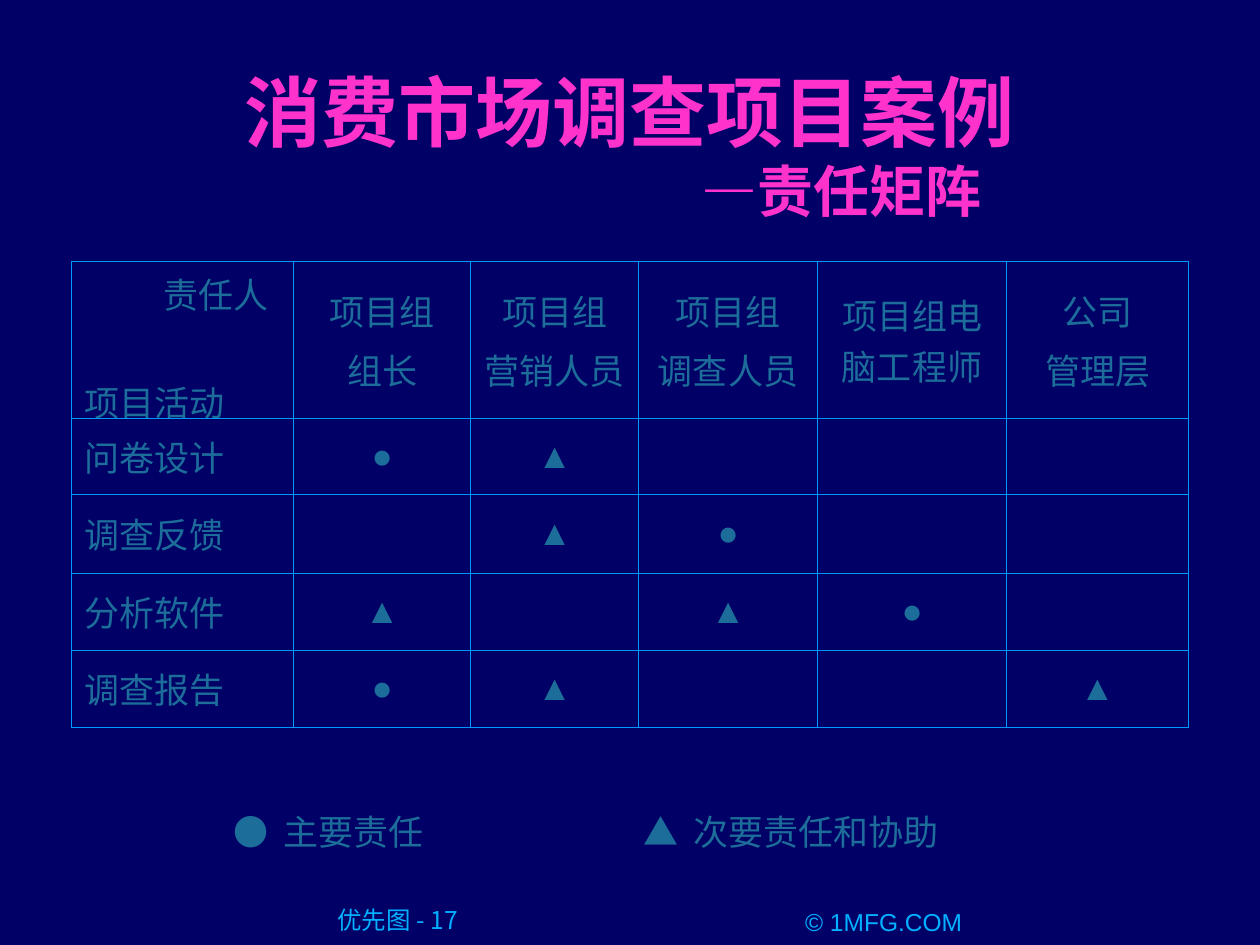
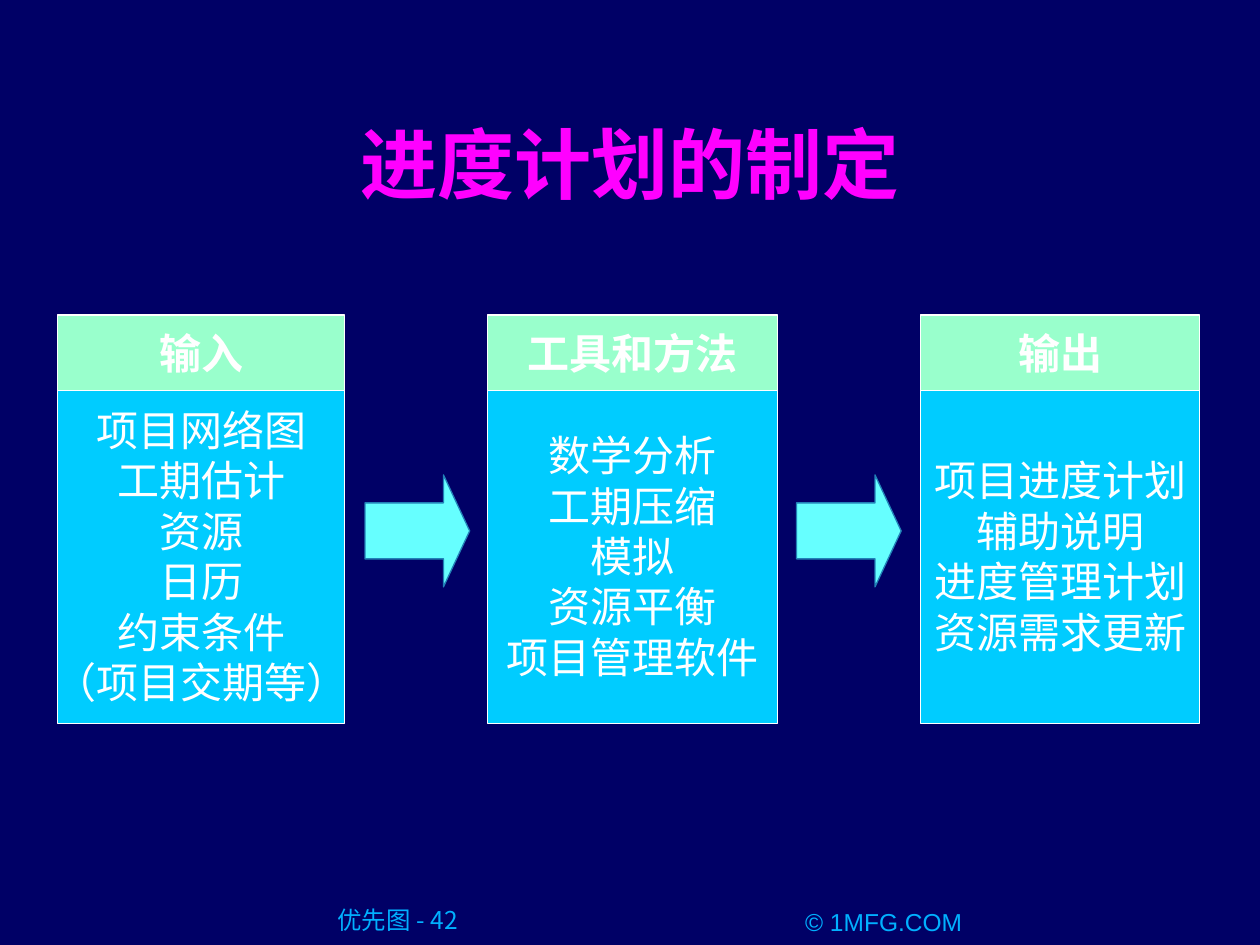
from lxml.etree import SubElement
from pptx import Presentation
from pptx.dml.color import RGBColor
from pptx.enum.shapes import MSO_SHAPE
from pptx.enum.text import MSO_ANCHOR, MSO_AUTO_SIZE, PP_ALIGN
from pptx.oxml.ns import qn
from pptx.util import Pt

NAVY = RGBColor(0x00, 0x00, 0x66)
PINK = RGBColor(0xFF, 0x33, 0xCC)
MAGENTA = RGBColor(0xFF, 0x00, 0xFF)
FOOTER_BLUE = RGBColor(0x01, 0xB0, 0xFF)
TEAL = RGBColor(0x1C, 0x6D, 0x9A)
GRID_BLUE = RGBColor(0x00, 0x99, 0xFF)
SKY = RGBColor(0x00, 0xCC, 0xFF)
MINT = RGBColor(0x99, 0xFF, 0xCC)
AQUA = RGBColor(0x66, 0xFF, 0xFF)
ARROW_LINE = RGBColor(0x21, 0x81, 0xB7)
WHITE = RGBColor(0xFF, 0xFF, 0xFF)

SERIF = "Times New Roman"
SANS = "Arial"
CJK = "Noto Sans CJK JP"

PRIMARY = "●"
SECONDARY = "▲"
PEOPLE = [
    ["项目组", "组长"],
    ["项目组", "营销人员"],
    ["项目组", "调查人员"],
    ["项目组电脑工程师"],
    ["公司", "管理层"],
]
DUTIES = {
    "问卷设计": [PRIMARY, SECONDARY, "", "", ""],
    "调查反馈": ["", SECONDARY, PRIMARY, "", ""],
    "分析软件": [SECONDARY, "", SECONDARY, PRIMARY, ""],
    "调查报告": [PRIMARY, SECONDARY, "", "", SECONDARY],
}
COLUMN_WIDTHS = [126.86, 101.14, 96, 102.29, 108, 104]
ROW_HEIGHTS = [89.5, 43.5, 45, 44, 44]

PANELS = [
    (33, 164, "输入", ["项目网络图", "工期估计", "资源", "日历", "约束条件", "（项目交期等）"]),
    (278.6, 165.6, "工具和方法", ["数学分析", "工期压缩", "模拟", "资源平衡", "项目管理软件"]),
    (526, 159.5, "输出", ["项目进度计划", "辅助说明", "进度管理计划", "资源需求更新"]),
]
ARROW_LEFTS = [208.6, 455.2]


class Deck:
    def __init__(self):
        self.presentation = Presentation()
        self.presentation.slide_width = Pt(720)
        self.presentation.slide_height = Pt(540)
        fill = self.presentation.slide_master.background.fill
        fill.solid()
        fill.fore_color.rgb = NAVY
        self.slide = None

    def new_slide(self, number):
        layout = self.presentation.slide_layouts[5]
        self.slide = self.presentation.slides.add_slide(layout)
        page = self.text_box((145, 517, 150, 19), [f"优先图 - {number}"],
                             {"name": CJK, "size": Pt(14)}, FOOTER_BLUE)
        mark = self.text_box((424, 518.4, 162, 16.6), ["© 1MFG.COM"],
                             {"name": SANS, "size": Pt(14)}, FOOTER_BLUE)
        for box, left in ((page, 14.4), (mark, 0)):
            self.set_insets(box.text_frame, left)

    def set_insets(self, frame, left):
        values = {"margin_left": Pt(left), "margin_right": 0,
                  "margin_top": 0, "margin_bottom": 0}
        for name, value in values.items():
            setattr(frame, name, value)

    def set_text(self, frame, lines, font, color, align=PP_ALIGN.CENTER, gap=0, tab=None):
        for index, line in enumerate(lines):
            paragraph = frame.paragraphs[0] if index == 0 else frame.add_paragraph()
            paragraph.text = line
            paragraph.alignment = align
            paragraph.space_before = Pt(gap if index else 0)
            if tab:
                tabs = SubElement(paragraph._p.get_or_add_pPr(), qn("a:tabLst"))
                SubElement(tabs, qn("a:tab"), pos=str(Pt(tab)), algn="l")
            for name, value in font.items():
                setattr(paragraph.font, name, value)
            paragraph.font.color.rgb = color

    def indent(self, paragraph, distance):
        paragraph.alignment = PP_ALIGN.LEFT
        paragraph._p.get_or_add_pPr().set("marL", str(Pt(distance)))

    def title(self, box, lines, color, anchor):
        title = self.slide.shapes.title
        title.left, title.top, title.width, title.height = map(Pt, box)
        frame = title.text_frame
        frame.auto_size = MSO_AUTO_SIZE.NONE
        frame.vertical_anchor = anchor
        self.set_text(frame, lines, {"name": SERIF, "size": Pt(44), "bold": True}, color)
        return frame

    def text_box(self, box, lines, font, color, align=PP_ALIGN.CENTER, tab=None):
        shape = self.slide.shapes.add_textbox(*map(Pt, box))
        shape.text_frame.word_wrap = True
        self.set_text(shape.text_frame, lines, font, color, align, tab=tab)
        return shape

    def legend(self, left, width, symbol, label):
        self.text_box((left, 459.4, width, 31.7), [f"{symbol}\t{label}"],
                      {"name": SERIF, "size": Pt(20)}, TEAL, PP_ALIGN.LEFT, 28.6)

    def shape(self, kind, box, fill, line, shapes=None):
        shapes = shapes or self.slide.shapes
        shape = shapes.add_shape(kind, *map(Pt, box))
        shape.shadow.inherit = False
        shape.fill.solid()
        shape.fill.fore_color.rgb = fill
        shape.line.color.rgb = line
        shape.line.width = Pt(0.75)
        return shape

    def panel(self, left, width, heading, items):
        group = self.slide.shapes.add_group_shape()
        parts = [(221.8, 191.5, SKY, items, False), (180, 43.2, MINT, [heading], True)]
        for top, height, fill, lines, bold in parts:
            shape = self.shape(MSO_SHAPE.RECTANGLE, (left, top, width, height),
                               fill, WHITE, group.shapes)
            frame = shape.text_frame
            frame.word_wrap = False
            frame.vertical_anchor = MSO_ANCHOR.MIDDLE
            self.set_text(frame, lines, {"name": SERIF, "size": Pt(24), "bold": bold}, WHITE)

    def arrow(self, left):
        arrow = self.shape(MSO_SHAPE.RIGHT_ARROW, (left, 271.4, 59.8, 64), AQUA, ARROW_LINE)
        arrow.adjustments[0] = 0.5
        arrow.adjustments[1] = 0.25

    def borders(self, cell):
        properties = cell._tc.get_or_add_tcPr()
        for index, side in enumerate(("lnL", "lnR", "lnT", "lnB")):
            line = properties.makeelement(qn(f"a:{side}"), {"w": str(Pt(0.45))})
            fill = SubElement(line, qn("a:solidFill"))
            SubElement(fill, qn("a:srgbClr"), val=str(GRID_BLUE))
            properties.insert(index, line)

    def table(self, left, top, rows):
        frame = self.slide.shapes.add_table(
            len(ROW_HEIGHTS), len(COLUMN_WIDTHS), Pt(left), Pt(top),
            Pt(sum(COLUMN_WIDTHS)), Pt(sum(ROW_HEIGHTS)))
        table = frame.table
        table.first_row = table.horz_banding = False
        for column, width in zip(table.columns, COLUMN_WIDTHS):
            column.width = Pt(width)
        for row, height, contents in zip(table.rows, ROW_HEIGHTS, rows):
            row.height = Pt(height)
            for index, (cell, lines) in enumerate(zip(row.cells, contents)):
                cell.fill.background()
                cell.vertical_anchor = MSO_ANCHOR.MIDDLE
                self.borders(cell)
                align = PP_ALIGN.CENTER if index else PP_ALIGN.LEFT
                self.set_text(cell.text_frame, lines, {"name": SANS, "size": Pt(20)},
                              TEAL, align, 5)
        return table


def responsibility_matrix(deck):
    deck.new_slide(17)
    frame = deck.title((45.4, 33.1, 629.3, 66.2), ["消费市场调查项目案例", "—责任矩阵"],
                       PINK, MSO_ANCHOR.TOP)
    subtitle = frame.paragraphs[1]
    subtitle.font.size = Pt(32)
    deck.indent(subtitle, 348)

    rows = [[["责任人", "项目活动"], *PEOPLE]]
    rows += [[[activity], *([mark] for mark in marks)] for activity, marks in DUTIES.items()]
    corner = deck.table(41, 149.4, rows).cell(0, 0)
    corner.vertical_anchor = MSO_ANCHOR.TOP
    person, activity = corner.text_frame.paragraphs
    deck.indent(person, 45)
    activity.space_before = Pt(32.7)

    deck.legend(126.5, 132, PRIMARY, "主要责任")
    deck.legend(360.5, 184, SECONDARY, "次要责任和协助")


def schedule_development(deck):
    deck.new_slide(42)
    deck.title((54, 48, 612, 90), ["进度计划的制定"], MAGENTA, MSO_ANCHOR.MIDDLE)
    for panel in PANELS:
        deck.panel(*panel)
    for left in ARROW_LEFTS:
        deck.arrow(left)


def main():
    deck = Deck()
    responsibility_matrix(deck)
    schedule_development(deck)
    deck.presentation.save("out.pptx")


if __name__ == "__main__":
    main()
